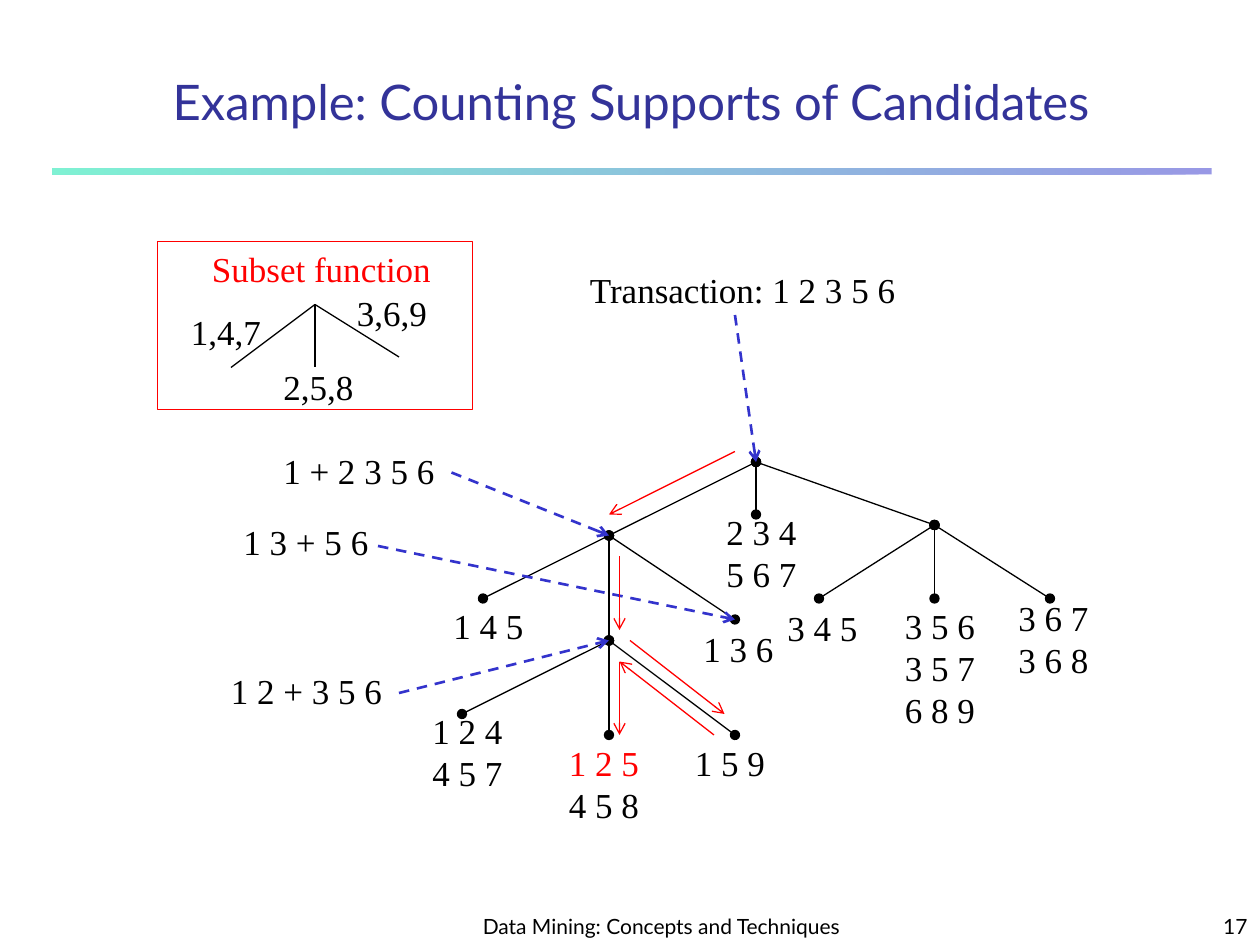
from collections import namedtuple

from lxml import etree
from pptx import Presentation
from pptx.dml.color import RGBColor
from pptx.enum.dml import MSO_LINE_DASH_STYLE as DASH
from pptx.enum.shapes import MSO_CONNECTOR as CONNECTOR, MSO_SHAPE as SHAPE
from pptx.enum.text import MSO_ANCHOR as ANCHOR, MSO_AUTO_SIZE as FIT, PP_ALIGN as ALIGN
from pptx.oxml.ns import qn
from pptx.util import Inches, Pt

BLACK = RGBColor(0x00, 0x00, 0x00)
RED = RGBColor(0xFF, 0x00, 0x00)
BLUE = RGBColor(0x33, 0x33, 0xCC)
NAVY = RGBColor(0x33, 0x33, 0x99)
MINT = RGBColor(0x00, 0xE4, 0xA8)
SANS, SERIF = "Lato", "Times New Roman"

COLS, ROWS = 120, 90  # grid of twelve cells to the inch
CELL = Inches(10) / COLS
LINE_ROWS, PAD_ROWS = 4, 1.25  # label line height and padding
TRIPLE_COLS = 9.3  # width that keeps three digits on one line


class Box(namedtuple("Box", "col row cols rows")):
    """A region of the slide grid; points inside are relative to its corner."""

    def point(self, col, row):
        return self.col + col, self.row + row

    def inner(self, col, row, cols, rows):
        return Box(*self.point(col, row), cols, rows)

    def emu(self):
        return [round(v * CELL) for v in self]


def add_text(shapes, box, lines, font=SERIF, size=20, colors=(BLACK,),
             align=ALIGN.LEFT, anchor=ANCHOR.TOP, wrap=False):
    frame = shapes.add_textbox(*box.emu()).text_frame
    frame.text = "\n".join(lines)
    frame.word_wrap = wrap
    frame.auto_size = FIT.NONE if wrap else FIT.SHAPE_TO_FIT_TEXT
    frame.vertical_anchor = anchor
    for i, paragraph in enumerate(frame.paragraphs):
        paragraph.alignment = align
        font_of_run = paragraph.runs[0].font
        font_of_run.name, font_of_run.size = font, Pt(size)
        font_of_run.color.rgb = colors[min(i, len(colors) - 1)]


def add_label(shapes, region, col, row, lines, cols=TRIPLE_COLS, colors=(BLACK,)):
    rows = LINE_ROWS * len(lines) + PAD_ROWS
    add_text(shapes, region.inner(col, row, cols, rows), lines, colors=colors)


def add_line(shapes, start, end, color=BLACK, width=0.75, dash=None, head=None, tail=None):
    ends = [round(v * CELL) for v in (*start, *end)]
    connector = shapes.add_connector(CONNECTOR.STRAIGHT, *ends)
    connector.line.color.rgb = color
    connector.line.width = Pt(width)
    if dash:
        connector.line.dash_style = dash
    outline = connector.line._get_or_add_ln()
    for tag, kind in (("a:headEnd", head), ("a:tailEnd", tail)):
        if kind:
            etree.SubElement(outline, qn(tag), type=kind)
    etree.SubElement(connector._element.spPr, qn("a:effectLst"))


def draw_header(shapes, region):
    # Title
    add_text(shapes, region.inner(4, 0, 102.2, 8), ["Example: Counting Supports of Candidates"],
             SANS, 28, [NAVY], ALIGN.CENTER, ANCHOR.BOTTOM, True)
    # Translucent gradient rule
    rule = shapes.add_shape(SHAPE.RECTANGLE, *region.inner(0, 11, 110.4, 0.6).emu())
    rule.shadow.inherit = False
    rule.line.fill.background()
    rule.fill.gradient()
    rule.fill.gradient_angle = 180
    for stop, color in zip(rule.fill.gradient_stops, (BLUE, MINT)):
        stop.color.rgb = color
    for value in rule._element.spPr.iter(qn("a:srgbClr")):
        etree.SubElement(value, qn("a:alpha"), val="50000")


def draw_subset_function(shapes, region):
    # Branches of the hash function
    apex = region.point(15, 6)
    for end in ((7, 12), (15, 12), (23, 11)):
        add_line(shapes, apex, region.point(*end))
    for col, row, digits in ((2, 6, "1,4,7"), (10.8, 11.2, "2,5,8"), (17.8, 4.2, "3,6,9")):
        add_label(shapes, region, col, row, [digits])
    add_label(shapes, region, 4, 0, ["Subset function"], 23.3, [RED])
    # Frame
    frame = shapes.add_shape(SHAPE.RECTANGLE, *region.emu())
    frame.shadow.inherit = False
    frame.fill.background()
    frame.line.color.rgb = RED
    frame.line.width = Pt(0.75)


# Node: column, row, parent
NODES = {
    "root": (32, 0, None),
    "1": (18, 7, "root"), "2": (32, 5, "root"), "3": (49, 6, "root"),
    "1 4": (6, 13, "1"), "1 2": (18, 17, "1"), "1 3": (30, 15, "1"),
    "1 2 4": (4, 24, "1 2"), "1 2 5": (18, 26, "1 2"), "1 5 9": (30, 26, "1 2"),
    "3 4": (38, 13, "3"), "3 5": (49, 13, "3"), "3 6": (60, 13, "3"),
}
# Leaf label: column, row, candidates
LEAVES = [
    (28, 4, ["2 3 4", "5 6 7"]), (2, 13, ["1 4 5"]), (25.8, 15.2, ["1 3 6"]),
    (0, 23, ["1 2 4", "4 5 7"]), (13, 26, ["1 2 5", "4 5 8"]), (25, 26, ["1 5 9"]),
    (33.8, 13.2, ["3 4 5"]), (45, 13, ["3 5 6", "3 5 7", "6 8 9"]),
    (55.8, 12.2, ["3 6 7", "3 6 8"]),
]


def draw_hash_tree(shapes, region):
    for col, row, parent in NODES.values():
        if parent:
            add_line(shapes, region.point(*NODES[parent][:2]), region.point(col, row),
                     head="oval", tail="oval")
    for col, row, candidates in LEAVES:
        colors = (RED, BLACK) if "1 2 5" in candidates else (BLACK,)
        add_label(shapes, region, col, row, candidates, colors=colors)


# Callout: text, label column, row and width, arrow start, target node
CALLOUTS = [
    ("Transaction: 1 2 3 5 6", 55, 25, 31.6, (70, 30), "root"),
    ("1 + 2 3 5 6", 25.8, 42.2, 16.8, (43, 45), "1"),
    ("1 2 + 3 5 6", 20.8, 63.2, 16.8, (38, 66), "1 2"),
    ("1 3 + 5 6", 22, 49, 14.3, (36, 52), "1 3"),
]


def draw_callouts(shapes, region, tree):
    for text, col, row, cols, start, node in CALLOUTS:
        add_label(shapes, region, col, row, [text], cols)
        add_line(shapes, region.point(*start), tree.point(*NODES[node][:2]),
                 BLUE, 1.5, DASH.DASH, tail="arrow")


def draw_traversal(shapes, tree):
    for start, end in (((30, -1), (18, 5)), ((20, 17), (29, 24)), ((28, 26), (19, 19)),
                       ((19, 9), (19, 16)), ((19, 19), (19, 26))):
        add_line(shapes, tree.point(*start), tree.point(*end), RED, tail="arrow")


def draw_footer(shapes, region):
    for col, cols, text, align in (
            (44, 38, "Data Mining: Concepts and Techniques", ALIGN.CENTER),
            (95, 25, "17", ALIGN.RIGHT)):
        add_text(shapes, region.inner(col, 0, cols, region.rows), [text], SANS, 12,
                 align=align, anchor=ANCHOR.BOTTOM, wrap=True)


def main():
    deck = Presentation()
    deck.slide_width, deck.slide_height = Inches(10), Inches(7.5)
    shapes = deck.slides.add_slide(deck.slide_layouts[6]).shapes
    tree = Box(40, 44, 65, 36)

    draw_header(shapes, Box(5, 5, 111, 12))
    draw_subset_function(shapes.add_group_shape().shapes, Box(15, 23, 30, 16))
    draw_hash_tree(shapes.add_group_shape().shapes, tree)
    draw_callouts(shapes, Box(0, 0, COLS, ROWS), tree)
    draw_traversal(shapes, tree)
    draw_footer(shapes, Box(0, 85, COLS, 5))
    deck.save("out.pptx")


if __name__ == "__main__":
    main()
